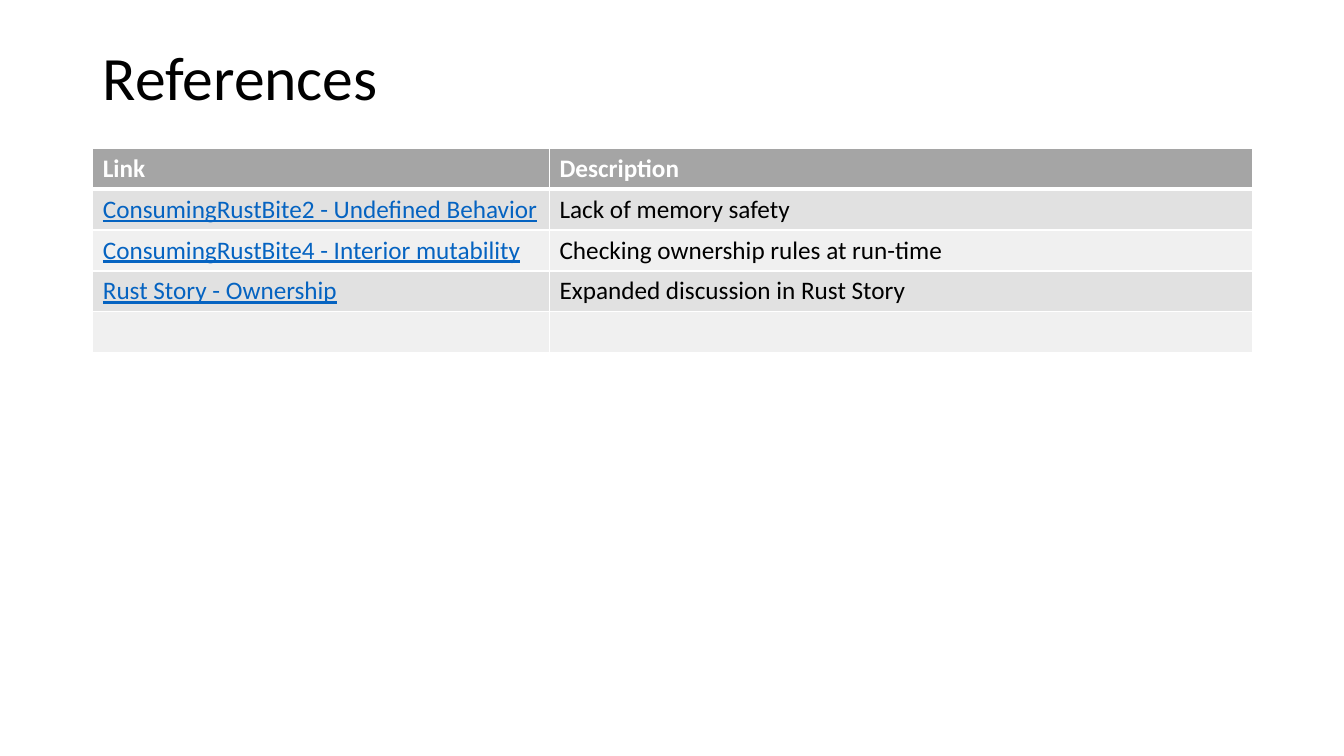
from lxml import etree
from pptx import Presentation
from pptx.dml.color import RGBColor
from pptx.enum.text import MSO_ANCHOR, PP_ALIGN
from pptx.oxml.ns import qn
from pptx.util import Inches, Pt

MIDDLE = MSO_ANCHOR.MIDDLE
LEFT = PP_ALIGN.LEFT
TITLE_ONLY_LAYOUT = 5

FONT = "Calibri"
BLACK = RGBColor(0x00, 0x00, 0x00)
WHITE = RGBColor(0xFF, 0xFF, 0xFF)
HEADER_GRAY = RGBColor(0xA5, 0xA5, 0xA5)
BAND_GRAYS = (RGBColor(0xE1, 0xE1, 0xE1), RGBColor(0xF0, 0xF0, 0xF0))
LINK_BLUE = RGBColor(0x05, 0x63, 0xC1)

MARGIN = Inches(0.92)
CONTENT_WIDTH = Inches(11.5)
COLUMN_WIDTHS = (Inches(4.53), Inches(6.97))
ROW_HEIGHT = Inches(0.406)

REFERENCES = (
    ("Link", "Description"),
    ("ConsumingRustBite2 - Undefined Behavior", "Lack of memory safety"),
    ("ConsumingRustBite4 - Interior mutability", "Checking ownership rules at run-time"),
    ("Rust Story - Ownership", "Expanded discussion in Rust Story"),
    ("", ""),
)


def style_font(font, size, color, bold=False, underline=False):
    font.name = FONT
    font.size = Pt(size)
    font.color.rgb = color
    font.bold = bold
    font.underline = underline


def add_title(slide, text):
    title = slide.shapes.title
    title.left, title.top = MARGIN, Inches(0.4)
    title.width, title.height = CONTENT_WIDTH, Inches(0.79)
    title.text_frame.text = text
    title.text_frame.vertical_anchor = MIDDLE
    paragraph = title.text_frame.paragraphs[0]
    paragraph.alignment = LEFT
    paragraph.line_spacing = 0.9
    style_font(paragraph.font, 44, BLACK)


def set_borders(cell, top, bottom):
    """Draw white borders; top and bottom are widths in points."""
    properties = cell._tc.get_or_add_tcPr()
    for side, width in (("L", 1), ("R", 1), ("T", top), ("B", bottom)):
        line = etree.SubElement(properties, qn(f"a:ln{side}"), w=str(Pt(width)))
        fill = etree.SubElement(line, qn("a:solidFill"))
        etree.SubElement(fill, qn("a:srgbClr"), val=str(WHITE))


def format_cell(cell, row, column):
    is_header = row == 0
    is_link = column == 0 and not is_header
    set_borders(cell, top=3 if row == 1 else 1, bottom=3 if is_header else 1)
    cell.fill.solid()
    cell.fill.fore_color.rgb = HEADER_GRAY if is_header else BAND_GRAYS[(row - 1) % 2]
    color = WHITE if is_header else LINK_BLUE if is_link else BLACK
    style_font(cell.text_frame.paragraphs[0].font, 18, color, is_header, is_link)


def add_reference_table(slide, references):
    frame = slide.shapes.add_table(
        len(references), len(COLUMN_WIDTHS), MARGIN, Inches(1.47),
        CONTENT_WIDTH, ROW_HEIGHT * len(references),
    )
    table = frame.table
    for column, width in zip(table.columns, COLUMN_WIDTHS):
        column.width = width
    for row, texts in enumerate(references):
        table.rows[row].height = ROW_HEIGHT
        for column, text in enumerate(texts):
            cell = table.cell(row, column)
            cell.text = text
            format_cell(cell, row, column)


def main():
    presentation = Presentation()
    presentation.slide_width = Inches(13.33)
    presentation.slide_height = Inches(7.5)
    slide = presentation.slides.add_slide(presentation.slide_layouts[TITLE_ONLY_LAYOUT])
    add_title(slide, "References")
    add_reference_table(slide, REFERENCES)
    presentation.save("out.pptx")


if __name__ == "__main__":
    main()
